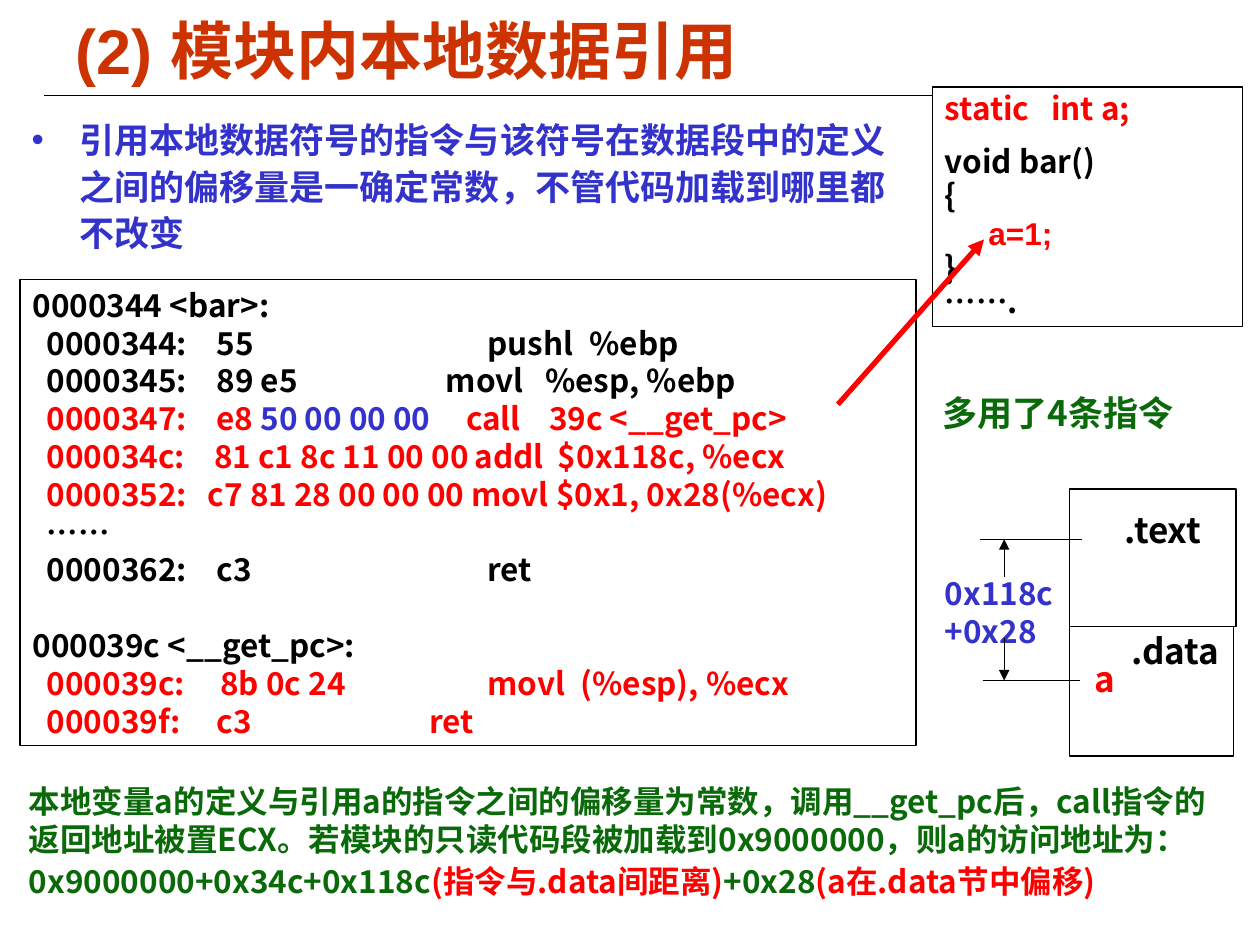
from lxml.etree import SubElement
from pptx import Presentation
from pptx.dml.color import RGBColor
from pptx.enum.shapes import MSO_CONNECTOR as Conn, MSO_SHAPE as Kind
from pptx.enum.text import MSO_ANCHOR as Anchor, MSO_AUTO_SIZE as Fit, PP_ALIGN as Align
from pptx.oxml.ns import qn
from pptx.util import Inches, Pt

SANS, ARIAL = "Noto Sans CJK SC", "Arial"
BLACK, WHITE, RED = "000000", "FFFFFF", "FF0000"
BLUE, GREEN, RUST = "3333CC", "0A6A0A", "CC3300"

# A paragraph is a list of (text, colour) runs, with an optional format dict.
TITLE = [([("(2) 模块内本地数据引用", RUST)], {})]
POINT = [([("引用本地数据符号的指令与该符号在数据段中的定义之间的偏移量是一确定常数，"
            "不管代码加载到哪里都不改变", BLUE)], {"line_spacing": 1.1})]
TIGHT = {"line_spacing": 0.9}
SOURCE = [
    ([("static   int a;", RED)], TIGHT),
    ([("void bar()", BLACK)], {"line_spacing": 0.9, "space_before": Pt(10.8)}),
    ([("{", BLACK)], TIGHT),
    ([("     a=1;", RED)], {"font": ARIAL}),
    ([("}", BLACK)], TIGHT),
    ([("…….", BLACK)], TIGHT),
]
LISTING = [
    ([("0000344 <bar>:", BLACK)], {}),
    ([("  0000344:\t55\tpushl\t%ebp", BLACK)], {"tabs": (1.46, 3.61, 4.42)}),
    ([("  0000345:\t89 e5\tmovl\t%esp, %ebp", BLACK)], {"tabs": (1.46, 3.28, 4.07)}),
    ([("  0000347:\te8 ", RED), ("50 00 00 00", BLUE), ("\tcall\t39c <__get_pc>", RED)],
     {"tabs": (1.46, 3.44, 4.1)}),
    ([("  000034c:\t81 c1 8c 11 00 00\taddl\t$0x118c, %ecx", RED)],
     {"tabs": (1.44, 3.51, 4.17)}),
    ([("  0000352:\tc7 81 28 00 00 00\tmovl $0x1, 0x28(%ecx)", RED)],
     {"tabs": (1.39, 3.48)}),
    ([("  ……", BLACK)], {}),
    ([("  0000362:\tc3\tret", BLACK)], {"tabs": (1.46, 3.61)}),
    ([("000039c <__get_pc>:", BLACK)], {"space_before": Pt(21.6)}),
    ([("  000039c:\t8b 0c 24\tmovl\t(%esp), %ecx", RED)], {"tabs": (1.49, 3.61, 4.35)}),
    ([("  000039f:\tc3\tret", RED)], {"tabs": (1.46, 3.15)}),
]
NOTE = [
    ([("本地变量a的定义与引用a的指令之间的偏移量为常数，调用__get_pc后，call指令的返回地址被置ECX。"
       "若模块的只读代码段被加载到0x9000000，则a的访问地址为：", GREEN)], {}),
    ([("0x9000000+0x34c+0x118c", GREEN), ("(指令与.data间距离)", RED),
      ("+0x28", GREEN), ("(a在.data节中偏移)", RED)], {"space_before": Pt(2.2)}),
]
OFFSET = [([("0x118c", BLUE)], {}), ([("+0x28", BLUE)], {})]

# left, top, width, height, fill, paragraphs
BOXES = [
    (7.4, 0.69, 2.46, 1.9, WHITE, SOURCE),
    (0.16, 2.22, 7.11, 3.7, None, LISTING),
    (8.49, 3.88, 1.32, 1.09, WHITE, []),
    (8.49, 4.97, 1.3, 1.03, WHITE, []),
]
# left, top, width, height, side inset, size, paragraphs
LABELS = [
    (0.23, 6.16, 9.51, 1.33, 0, 18, NOTE),
    (8.83, 3.99, 0.91, 0.44, 0.1, 20, [([(".text", BLACK)], {})]),
    (8.88, 4.95, 0.91, 0.44, 0.1, 20, [([(".data", BLACK)], {})]),
    (8.59, 5.17, 0.59, 0.44, 0.1, 20, [([("a", RED)], {})]),
    (7.4, 4.51, 1.21, 0.7, 0.1, 18, OFFSET),
    (7.38, 3.06, 2.09, 0.77, 0.1, 20, [([("多用了4条指令", GREEN)], {})]),
]
# from x, from y, to x, to y, colour, width, arrowhead
RULE = (0.35, 0.76, 9.65, 0.76, BLACK, 0.75, False)
LINES = [
    (7.78, 4.28, 8.59, 4.28, BLACK, 0.75, False),
    (7.8, 5.4, 8.57, 5.4, BLACK, 0.75, False),
    (7.97, 4.58, 7.97, 4.28, BLACK, 0.75, True),
    (7.97, 5.06, 7.97, 5.4, BLACK, 0.75, True),
    (6.65, 3.21, 7.81, 1.9, RED, 3, True),
]


def paint(color, code):
    color.rgb = RGBColor.from_string(code)


def assign(obj, values):
    for name, value in values.items():
        setattr(obj, name, value)


def add_tabs(para, stops):
    tabs = SubElement(para._p.get_or_add_pPr(), qn("a:tabLst"))
    for stop in stops:
        SubElement(tabs, qn("a:tab"), pos=str(Inches(stop)), algn="l")


def add_bullet(para, code):
    props = para._p.get_or_add_pPr()
    props.set("marL", str(Inches(0.38)))
    props.set("indent", str(Inches(-0.38)))
    color = SubElement(props, qn("a:buClr"))
    SubElement(color, qn("a:srgbClr"), val=code)
    SubElement(props, qn("a:buFont"), typeface=ARIAL)
    SubElement(props, qn("a:buChar"), char="•")


def write(shape, paras, size, side=0.1, anchor=Anchor.TOP, font=SANS, bullet=None):
    frame = shape.text_frame
    assign(frame, {
        "word_wrap": True, "auto_size": Fit.NONE, "vertical_anchor": anchor,
        "margin_left": Inches(side), "margin_right": Inches(side),
        "margin_top": Inches(0.05), "margin_bottom": Inches(0.05),
    })
    for i, (runs, look) in enumerate(paras):
        para = frame.add_paragraph() if i else frame.paragraphs[0]
        form = {"alignment": Align.LEFT, "space_before": Pt(0), "line_spacing": 1.0, **look}
        face = form.pop("font", font)
        stops = form.pop("tabs", ())
        assign(para, form)
        if bullet:
            add_bullet(para, bullet)
        if stops:
            add_tabs(para, stops)
        for text, code in runs:
            run = para.add_run()
            run.text = text
            assign(run.font, {"size": Pt(size), "bold": True, "name": face})
            paint(run.font.color, code)
            SubElement(run._r.get_or_add_rPr(), qn("a:ea"), typeface=SANS)


def place(shape, *spot):
    assign(shape, dict(zip(("left", "top", "width", "height"), map(Inches, spot))))


def add_line(shapes, x1, y1, x2, y2, code, width, arrow):
    line = shapes.add_connector(Conn.STRAIGHT, *map(Inches, (x1, y1, x2, y2)))
    paint(line.line.color, code)
    line.line.width = Pt(width)
    if arrow:
        SubElement(line.line._get_or_add_ln(), qn("a:tailEnd"), type="triangle")
    SubElement(line._element.spPr, qn("a:effectLst"))


def add_box(shapes, spot, fill, paras):
    box = shapes.add_shape(Kind.RECTANGLE, *map(Inches, spot))
    box.shadow.inherit = False
    if fill:
        box.fill.solid()
        paint(box.fill.fore_color, fill)
    else:
        box.fill.background()
    paint(box.line.color, BLACK)
    box.line.width = Pt(0.75)
    write(box, paras, 18)


def main():
    deck = Presentation()
    deck.slide_width, deck.slide_height = Inches(10), Inches(7.5)
    slide = deck.slides.add_slide(deck.slide_layouts[1])
    shapes = slide.shapes
    title, body = slide.placeholders
    place(title, 0.5, 0.09, 9, 0.61)
    write(title, TITLE, 36, anchor=Anchor.MIDDLE, font=ARIAL)
    place(body, 0.15, 0.86, 7.09, 1.21)
    write(body, POINT, 20, bullet=BLUE)
    add_line(shapes, *RULE)
    for *spot, fill, paras in BOXES:
        add_box(shapes, spot, fill, paras)
    for *spot, side, size, paras in LABELS:
        write(shapes.add_textbox(*map(Inches, spot)), paras, size, side)
    for line in LINES:
        add_line(shapes, *line)
    deck.save("out.pptx")


if __name__ == "__main__":
    main()
